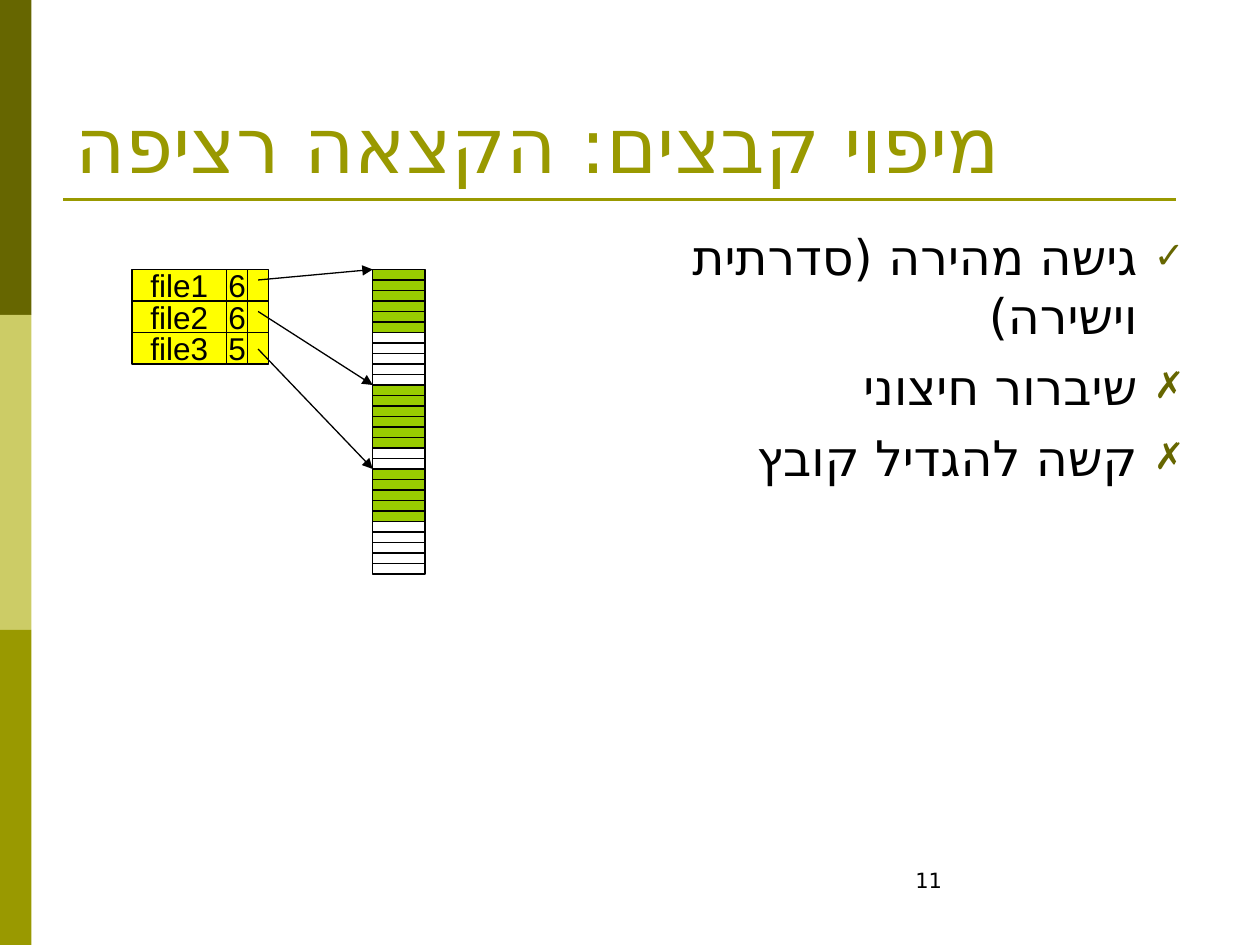
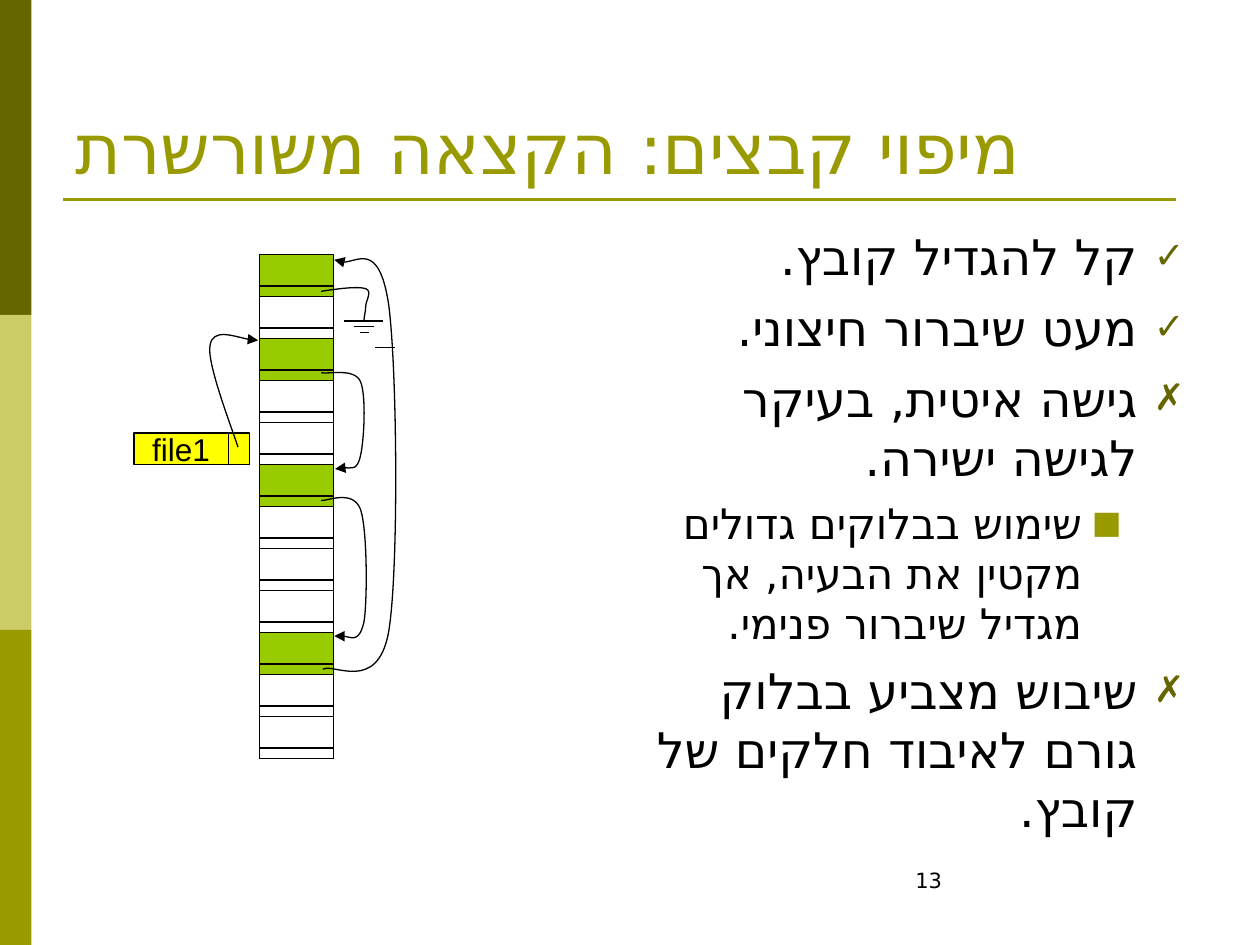
from lxml import etree
from pptx import Presentation
from pptx.dml.color import RGBColor
from pptx.enum.shapes import MSO_CONNECTOR, MSO_SHAPE
from pptx.enum.text import MSO_ANCHOR as ANCHOR, PP_ALIGN as ALIGN
from pptx.oxml import parse_xml
from pptx.oxml.ns import nsdecls, qn
from pptx.util import Pt

PX = 6350  # EMU per px, 144 px to the inch

BLACK = RGBColor(0x00, 0x00, 0x00)
DARK_OLIVE = RGBColor(0x66, 0x66, 0x00)
PALE_OLIVE = RGBColor(0xCC, 0xCC, 0x66)
OLIVE = RGBColor(0x99, 0x99, 0x00)
GREEN = RGBColor(0x99, 0xCC, 0x00)
YELLOW = RGBColor(0xFF, 0xFF, 0x00)

SERIF, SANS, CELL_FONT = "Times New Roman", "DejaVu Sans", "Arial"

# Bullet character: level, indent px, hanging px, space before, text size, bullet colour
BULLETS = {
    "✓": (0, 54, 54, 7, 28, DARK_OLIVE),
    "✗": (0, 54, 54, 7, 28, DARK_OLIVE),
    "■": (1, 117, 45, 6, 24, OLIVE),
}

SLIDES = [
    {
        "title": "מיפוי קבצים: הקצאה רציפה",
        "title_size": 44,
        "number": "11",
        "body_left": 624,
        "points": [
            ("✓", "גישה מהירה (סדרתית וישירה)"),
            ("✗", "שיברור חיצוני"),
            ("✗", "קשה להגדיל קובץ"),
        ],
    },
    {
        "title": "מיפוי קבצים: הקצאה משורשרת",
        "title_size": 40,
        "number": "13",
        "body_left": 714,
        "points": [
            ("✓", "קל להגדיל קובץ."),
            ("✓", "מעט שיברור חיצוני."),
            ("✗", "גישה איטית, בעיקר לגישה ישירה."),
            ("■", "שימוש בבלוקים גדולים מקטין את הבעיה, אך מגדיל שיברור פנימי."),
            ("✗", "שיבוש מצביע בבלוק גורם לאיבוד חלקים של קובץ."),
        ],
    },
]


def add_box(s, x, y, w, h, fill=None, text="", outlined=True):
    sp = s.shapes.add_shape(MSO_SHAPE.RECTANGLE, x * PX, y * PX, w * PX, h * PX)
    sp.shadow.inherit = False
    if fill is None:
        sp.fill.background()
    else:
        sp.fill.solid()
        sp.fill.fore_color.rgb = fill
    if outlined:
        sp.line.color.rgb = BLACK
        sp.line.width = Pt(0.75)
    else:
        sp.line.fill.background()
    if text:
        tf = sp.text_frame
        tf.word_wrap = False
        tf.vertical_anchor = ANCHOR.MIDDLE
        p = tf.paragraphs[0]
        p.alignment = ALIGN.CENTER
        r = p.add_run()
        r.text = text
        for name, value in {"name": CELL_FONT, "size": Pt(18)}.items():
            setattr(r.font, name, value)
        r.font.color.rgb = BLACK


def add_stroke(s, points, color=BLACK, width=0.75, arrow=False):
    """Two points give a straight line; more give a Bezier chain, three points a curve."""
    start, *rest = points
    if len(rest) == 1:
        ends = [v * PX for v in start + rest[0]]
        sp = s.shapes.add_connector(MSO_CONNECTOR.STRAIGHT, *ends)
    else:
        builder = s.shapes.build_freeform(*start, scale=float(PX))
        builder.add_line_segments(rest, close=False)
        sp = builder.convert_to_shape()
        sp.fill.background()
        segments = list(sp._element.iter(qn("a:lnTo")))
        path = segments[0].getparent()
        for i in range(0, len(segments), 3):
            curve = etree.SubElement(path, qn("a:cubicBezTo"))
            for segment in segments[i:i + 3]:
                curve.append(segment[0])
                path.remove(segment)
    sp.line.color.rgb = color
    sp.line.width = Pt(width)
    if arrow:
        etree.SubElement(sp.line._get_or_add_ln(), qn("a:tailEnd"), type="triangle")
    etree.SubElement(sp._element.spPr, qn("a:effectLst"))


prs = Presentation()
prs.slide_width, prs.slide_height = 1440 * PX, 1080 * PX

# Shared frame, title, points and slide number
for content in SLIDES:
    s = prs.slides.add_slide(prs.slide_layouts[6])
    for i, color in enumerate([DARK_OLIVE, PALE_OLIVE, OLIVE]):
        add_box(s, 0, 360 * i, 36, 360, color, outlined=False)
    add_stroke(s, [(72, 228), (1344, 228)], OLIVE, 1.5)

    left = content["body_left"]
    title = [(None, content["title"])]
    number = [(None, content["number"])]
    frames = [
        (72, 43, 1296, 180, ANCHOR.BOTTOM, title, SERIF, content["title_size"], OLIVE),
        (left, 252, 1368 - left, 713, ANCHOR.TOP, content["points"], SANS, 28, BLACK),
        (1032, 984, 336, 72, ANCHOR.TOP, number, SANS, 12, BLACK),
    ]
    for x, y, w, h, anchor, paragraphs, font, size, color in frames:
        tf = s.shapes.add_textbox(x * PX, y * PX, w * PX, h * PX).text_frame
        tf.word_wrap = True
        tf.vertical_anchor = anchor
        for i, (bullet, text) in enumerate(paragraphs):
            p = tf.add_paragraph() if i else tf.paragraphs[0]
            p.alignment = ALIGN.RIGHT if bullet else ALIGN.LEFT
            pPr = p._p.get_or_add_pPr()
            if paragraphs is not number:
                pPr.set("rtl", "1")
            if bullet:
                p.level, indent, hanging, space, size, bullet_color = BULLETS[bullet]
                pPr.set("marL", str(indent * PX))
                pPr.set("indent", str(-hanging * PX))
                for xml in (
                    f'<a:buClr {nsdecls("a")}><a:srgbClr val="{bullet_color}"/></a:buClr>',
                    f'<a:buSzPct {nsdecls("a")} val="75000"/>',
                    f'<a:buFont {nsdecls("a")} typeface="{SANS}"/>',
                    f'<a:buChar {nsdecls("a")} char="{bullet}"/>',
                ):
                    pPr.append(parse_xml(xml))
                if i:
                    p.space_before = Pt(space)
            r = p.add_run()
            r.text = text
            for name, value in {"name": font, "size": Pt(size)}.items():
                setattr(r.font, name, value)
            r.font.color.rgb = color
            etree.SubElement(r._r.get_or_add_rPr(), qn("a:cs"), typeface=SANS)

contiguous, linked = prs.slides

# Contiguous allocation: each file is a run of neighbouring blocks
TOP, BLOCK_H, ROW_H = 308, 12, 36
DISK_X = 426
files = [("file1", 0, 6, 320), ("file2", 11, 6, 356), ("file3", 19, 5, 399)]
used = {b for _, first, count, _ in files for b in range(first, first + count)}
for b in range(29):
    add_box(contiguous, DISK_X, TOP + b * BLOCK_H, 60, BLOCK_H, GREEN if b in used else None)
for row, (name, first, count, arrow_y) in enumerate(files):
    y = TOP + row * ROW_H
    add_box(contiguous, 151, y, 108, ROW_H, YELLOW, name)
    add_box(contiguous, 283, y, 24, ROW_H, YELLOW)
    add_box(contiguous, 259, y, 24, ROW_H, YELLOW, str(count))
    add_stroke(contiguous, [(295, arrow_y), (DISK_X, TOP + first * BLOCK_H)], arrow=True)

# Linked allocation: each block ends with a pointer to the next one
add_box(linked, 153, 495, 108, 36, YELLOW, "file1")
add_box(linked, 261, 495, 24, 36, YELLOW)
for b in range(12):
    fill = GREEN if b in (0, 2, 5, 9) else None
    y = 291 + 48 * b
    add_box(linked, 297, y, 84, 48, fill)
    add_box(linked, 297, y + 36, 84, 12, fill)

links = [
    [(272, 511), (266, 492), (236, 415), (240, 395), (243, 374), (284, 390), (295, 389)],
    [(367, 426), (374, 428), (405, 420), (412, 436), (419, 452), (416, 505), (412, 521),
     (408, 539), (389, 533), (383, 536)],
    [(367, 572), (374, 573), (403, 559), (412, 582), (420, 605), (420, 687), (416, 711),
     (410, 736), (389, 724), (382, 727)],
    [(369, 765), (380, 757), (431, 793), (444, 723), (456, 654), (454, 419), (444, 347),
     (433, 276), (395, 308), (382, 297)],
]
for link in links:
    add_stroke(linked, link, arrow=True)

end_of_chain = [(367, 333), (387, 330), (409, 327), (418, 330), (426, 333), (418, 344),
                (418, 350), (418, 357), (416, 361), (416, 367)]
add_stroke(linked, end_of_chain)
for x1, x2, y in [(393, 438, 367), (405, 428, 373), (412, 422, 380), (429, 452, 397)]:
    add_stroke(linked, [(x1, y), (x2, y)])

prs.save("out.pptx")
